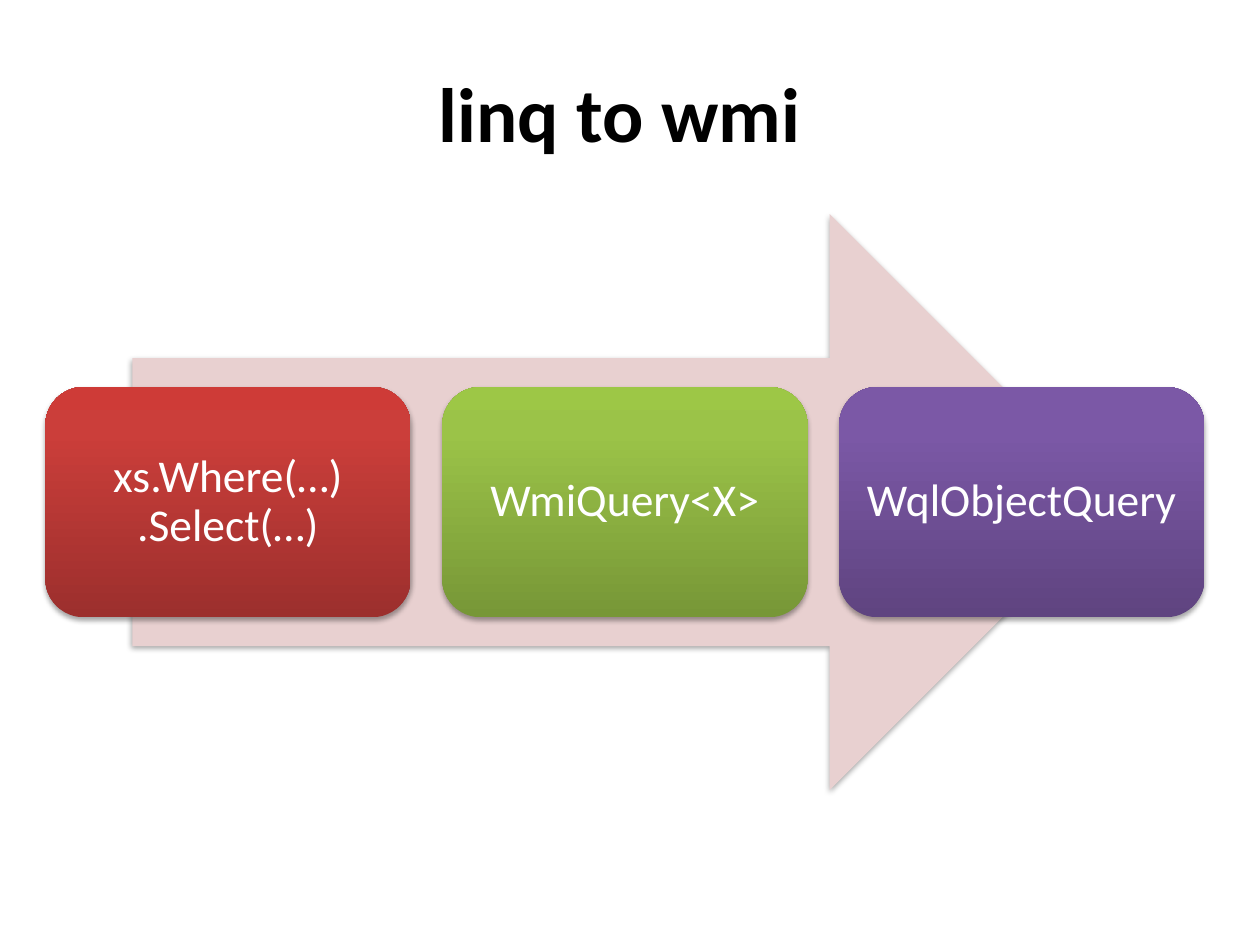
from lxml import etree
from pptx import Presentation
from pptx.dml.color import RGBColor
from pptx.enum.shapes import MSO_SHAPE
from pptx.enum.text import MSO_ANCHOR, PP_ALIGN
from pptx.oxml.ns import qn
from pptx.util import Inches, Pt

ARROW, ROUNDED = MSO_SHAPE.RIGHT_ARROW, MSO_SHAPE.ROUNDED_RECTANGLE
MIDDLE, CENTER = MSO_ANCHOR.MIDDLE, PP_ALIGN.CENTER
FONT = "Calibri"
GAP = 0.25  # inches between steps

# Step text and gradient colours, bottom to top
STEPS = [
    ("xs.Where(…)\v.Select(…)", ("9C2F2D", "CB3E3A", "CE3B37")),
    ("WmiQuery<X>", ("779737", "9BC348", "9DC746")),
    ("WqlObjectQuery", ("5F4480", "7B58A6", "7C57A8")),
]
STOPS = (0, 80, 100)


def rgb(color):
    return RGBColor.from_string(color)


def add_xml(parent, tag, **attrs):
    return etree.SubElement(parent, qn(tag), {k: str(v) for k, v in attrs.items()})


def add_color(parent, color):
    return add_xml(parent, "a:srgbClr", val=color)


def set_gradient(sp, colors):
    sp.fill.gradient()
    sp.fill.gradient_angle = 90
    stops = sp._element.spPr.find(".//" + qn("a:gsLst"))
    for stop in list(stops):
        stops.remove(stop)
    for pos, color in zip(STOPS, colors):
        add_color(add_xml(stops, "a:gs", pos=pos * 1000), color)


def set_shadow(sp):
    sp.shadow.inherit = False
    effects = sp._element.spPr.find(qn("a:effectLst"))
    shadow = add_xml(effects, "a:outerShdw", blurRad=Pt(3.1), dist=Pt(1.8),
                     dir=90 * 60000, rotWithShape=0)
    add_xml(add_color(shadow, "000000"), "a:alpha", val=35000)


def add_block(slide, kind, box):
    sp = slide.shapes.add_shape(kind, *map(Inches, box))
    sp.line.fill.background()
    set_shadow(sp)
    return sp


def format_text(tf, text, size, color, bold=False):
    tf.text = text
    tf.word_wrap = True
    tf.vertical_anchor = MIDDLE
    p = tf.paragraphs[0]
    p.alignment = CENTER
    p.font.name, p.font.size, p.font.bold = FONT, Pt(size), bold
    p.font.color.rgb = rgb(color)
    return p


def place_title(slide, text, box):
    title = slide.shapes.title
    title.left, title.top, title.width, title.height = map(Inches, box)
    format_text(title.text_frame, text, 44, "000000", bold=True)


def add_process(slide, steps, box):
    left, top, width, height = box

    # Background arrow, centred and 85% as wide as the process
    arrow_width = 0.85 * width
    arrow = add_block(slide, ARROW, (left + (width - arrow_width) / 2, top,
                                     arrow_width, height))
    arrow.fill.solid()
    arrow.fill.fore_color.rgb = rgb("E8D0D0")

    # Equal steps across the middle, 40% of the height
    step_width = (width - GAP * (len(steps) - 1)) / len(steps)
    for i, (text, colors) in enumerate(steps):
        sp = add_block(slide, ROUNDED, (left + i * (step_width + GAP),
                                        top + 0.3 * height, step_width, 0.4 * height))
        set_gradient(sp, colors)
        tf = sp.text_frame
        tf.margin_left = tf.margin_right = Inches(0.11)
        tf.margin_top = tf.margin_bottom = Inches(0.11)
        format_text(tf, text, 26, "FFFFFF").line_spacing = 0.9


def main():
    prs = Presentation()
    prs.slide_width, prs.slide_height = Inches(10), Inches(7.5)
    slide = prs.slides.add_slide(prs.slide_layouts[5])
    place_title(slide, "linq to wmi", (0.51, 0.47, 8.82, 0.84))
    add_process(slide, STEPS, (0.36, 1.7, 9.2, 4.57))
    prs.save("out.pptx")


if __name__ == "__main__":
    main()
